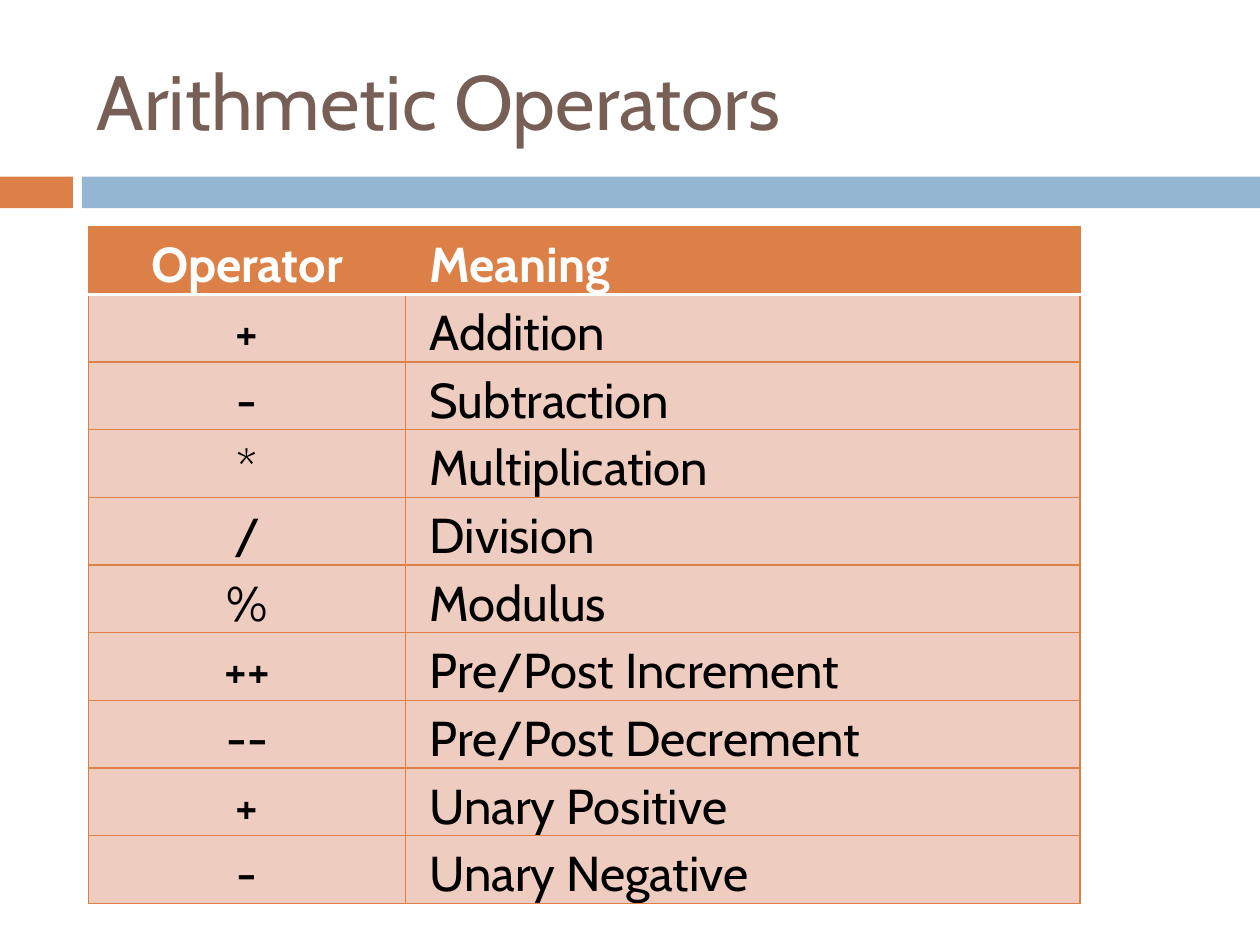
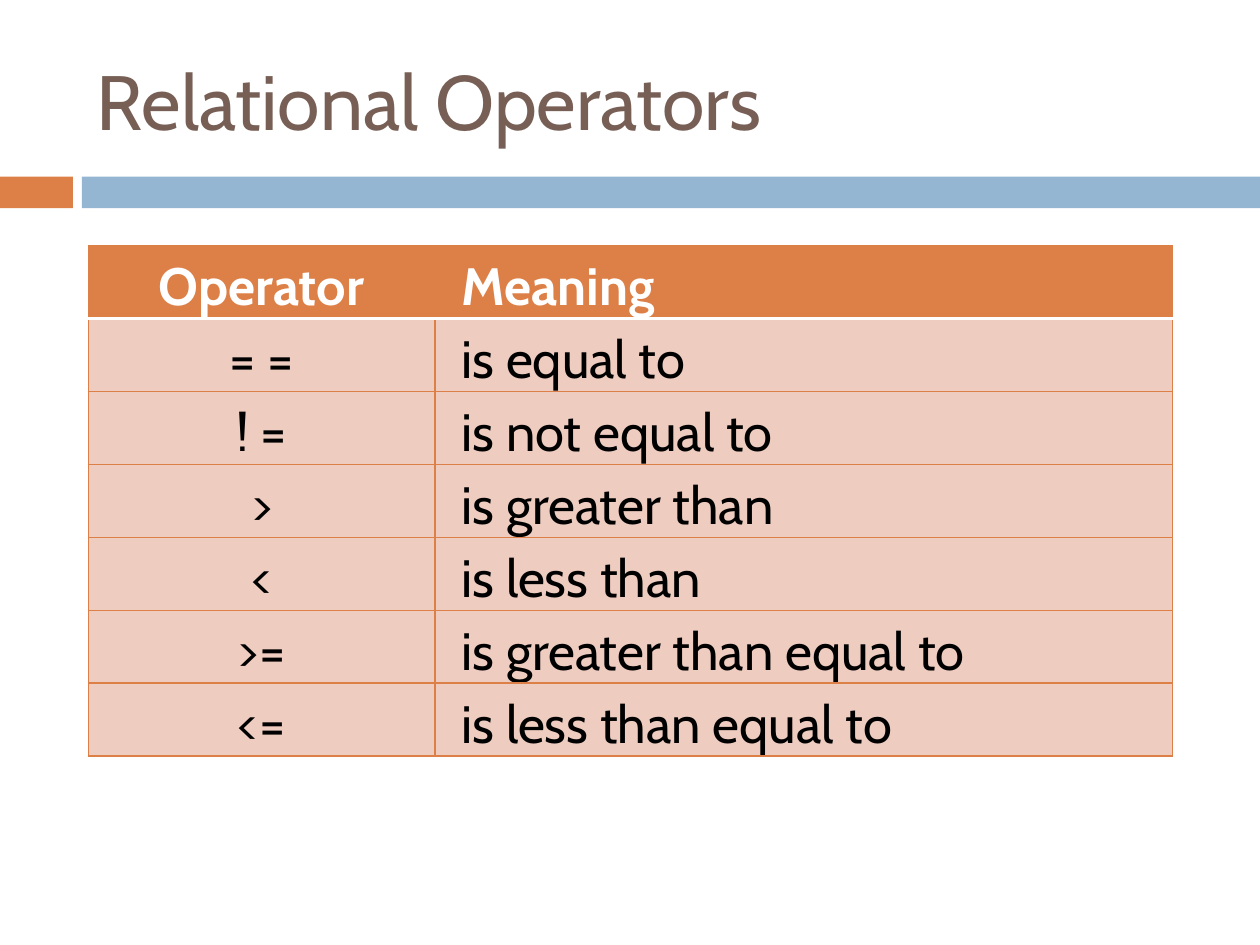
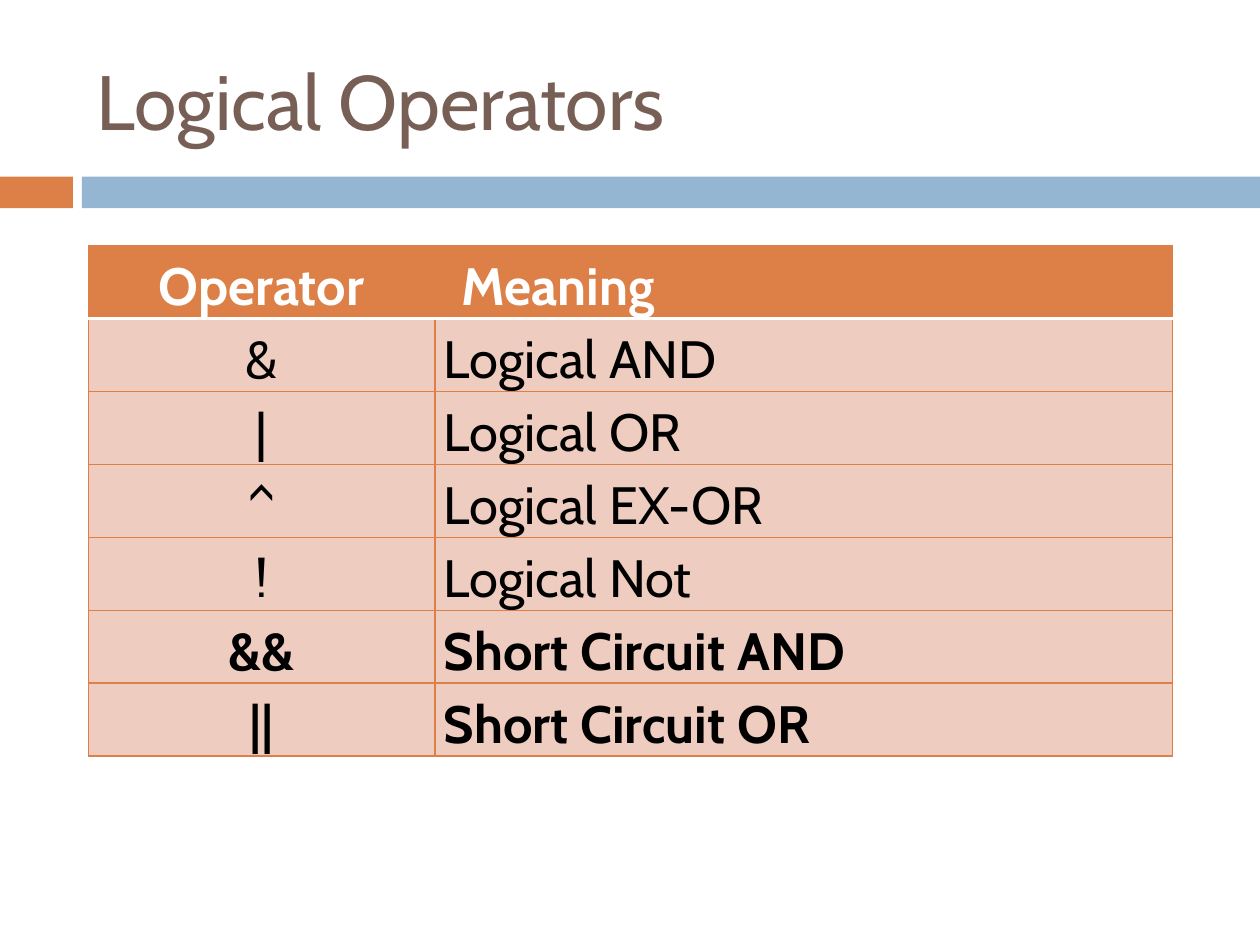
"""Build three slides of operator tables: arithmetic, relational and logical."""
from dataclasses import dataclass

from lxml import etree
from pptx import Presentation
from pptx.dml.color import RGBColor
from pptx.enum.shapes import MSO_SHAPE
from pptx.enum.text import MSO_ANCHOR, PP_ALIGN
from pptx.oxml.ns import qn
from pptx.util import Cm, Pt

RECTANGLE = MSO_SHAPE.RECTANGLE
MIDDLE = MSO_ANCHOR.MIDDLE
LEFT, CENTER, JUSTIFY = PP_ALIGN.LEFT, PP_ALIGN.CENTER, PP_ALIGN.JUSTIFY


@dataclass(frozen=True)
class Theme:
    font: str = "Cabin"
    title: str = "775F55"
    accent: str = "DD8047"
    band: str = "94B6D2"
    body: str = "EECCC0"
    white: str = "FFFFFF"
    black: str = "000000"
    title_size: int = 44
    line: float = 0.79
    header_line: float = 1.5
    spacing: float = 1.15


theme = Theme()

BANDS = [(0, 1.47, theme.accent), (1.65, 23.75, theme.band)]
SMALL = dict(top=4.57, cols=(6.4, 13.59), row=1.36, size=28, head_inset=0.48)
LARGE = dict(top=4.95, cols=(6.99, 14.86), row=1.47, size=30, head_inset=0.53)

SLIDES = [
    ("Arithmetic Operators", SMALL, 0.48, [
        ("+", "Addition"),
        ("-", "Subtraction"),
        ("*", "Multiplication"),
        ("/", "Division"),
        ("%", "Modulus"),
        ("++", "Pre/Post Increment"),
        ("--", "Pre/Post Decrement"),
        ("+", "Unary Positive"),
        ("-", "Unary Negative"),
    ]),
    ("Relational Operators", LARGE, 0.53, [
        ("= =", "is equal to"),
        ("! =", "is not equal to"),
        (">", "is greater than"),
        ("<", "is less than"),
        (">=", "is greater than equal to"),
        ("<=", "is less than equal to"),
    ]),
    ("Logical Operators", LARGE, 0.18, [
        ("&", "Logical AND"),
        ("|", "Logical OR"),
        ("^", "Logical EX-OR"),
        ("!", "Logical Not"),
        ("&&", "Short Circuit AND"),
        ("||", "Short Circuit OR"),
    ]),
]
BOLD_MEANINGS = {"Meaning", "Short Circuit AND", "Short Circuit OR"}


def write(p, text, size, color, align, bold=False):
    p.text = text
    p.alignment = align
    font = p.runs[0].font
    font.name, font.size, font.bold = theme.font, Pt(size), bold
    font.color.rgb = RGBColor.from_string(color)


def add_border(cell, side, color, width):
    tcPr = cell._tc.get_or_add_tcPr()
    ln = etree.SubElement(tcPr, qn(f"a:ln{side}"), w=str(Pt(width)))
    fill = etree.SubElement(ln, qn("a:solidFill"))
    etree.SubElement(fill, qn("a:srgbClr"), val=color)


prs = Presentation()
prs.slide_width, prs.slide_height = Cm(25.4), Cm(19.05)

for title, grid, body_inset, operators in SLIDES:
    s = prs.slides.add_slide(prs.slide_layouts[6])

    for left, width, color in BANDS:
        sp = s.shapes.add_shape(RECTANGLE, Cm(left), Cm(3.56), Cm(width), Cm(0.64))
        sp.shadow.inherit = False
        sp.fill.solid()
        sp.fill.fore_color.rgb = RGBColor.from_string(color)
        sp.line.fill.background()

    tf = s.shapes.add_textbox(Cm(1.7), Cm(0.64), Cm(22.66), Cm(2.74)).text_frame
    tf.word_wrap = True
    tf.vertical_anchor = MIDDLE
    write(tf.paragraphs[0], title, theme.title_size, theme.title, LEFT)

    rows = [("Operator", "Meaning")] + operators
    table = s.shapes.add_table(
        len(rows), 2, Cm(1.78), Cm(grid["top"]),
        Cm(sum(grid["cols"])), Cm(grid["row"] * len(rows))).table
    for column, width in zip(table.columns, grid["cols"]):
        column.width = Cm(width)

    for i, texts in enumerate(rows):
        table.rows[i].height = Cm(grid["row"])
        header = i == 0
        bold = texts[1] in BOLD_MEANINGS
        header_edge = {0: "B", 1: "T"}.get(i)
        for j, text in enumerate(texts):
            cell = table.cell(i, j)
            inset = Cm(grid["head_inset"] if header else body_inset)
            cell.margin_left = cell.margin_right = inset
            cell.margin_top = cell.margin_bottom = 0
            for side in "LRTB":
                if side == header_edge:
                    add_border(cell, side, theme.white, theme.header_line)
                else:
                    add_border(cell, side, theme.accent, theme.line)
            cell.fill.solid()
            cell.fill.fore_color.rgb = RGBColor.from_string(
                theme.accent if header else theme.body)
            p = cell.text_frame.paragraphs[0]
            write(p, text, grid["size"], theme.white if header else theme.black,
                  JUSTIFY if j else CENTER, bold)
            p.line_spacing = theme.spacing

prs.save("out.pptx")
